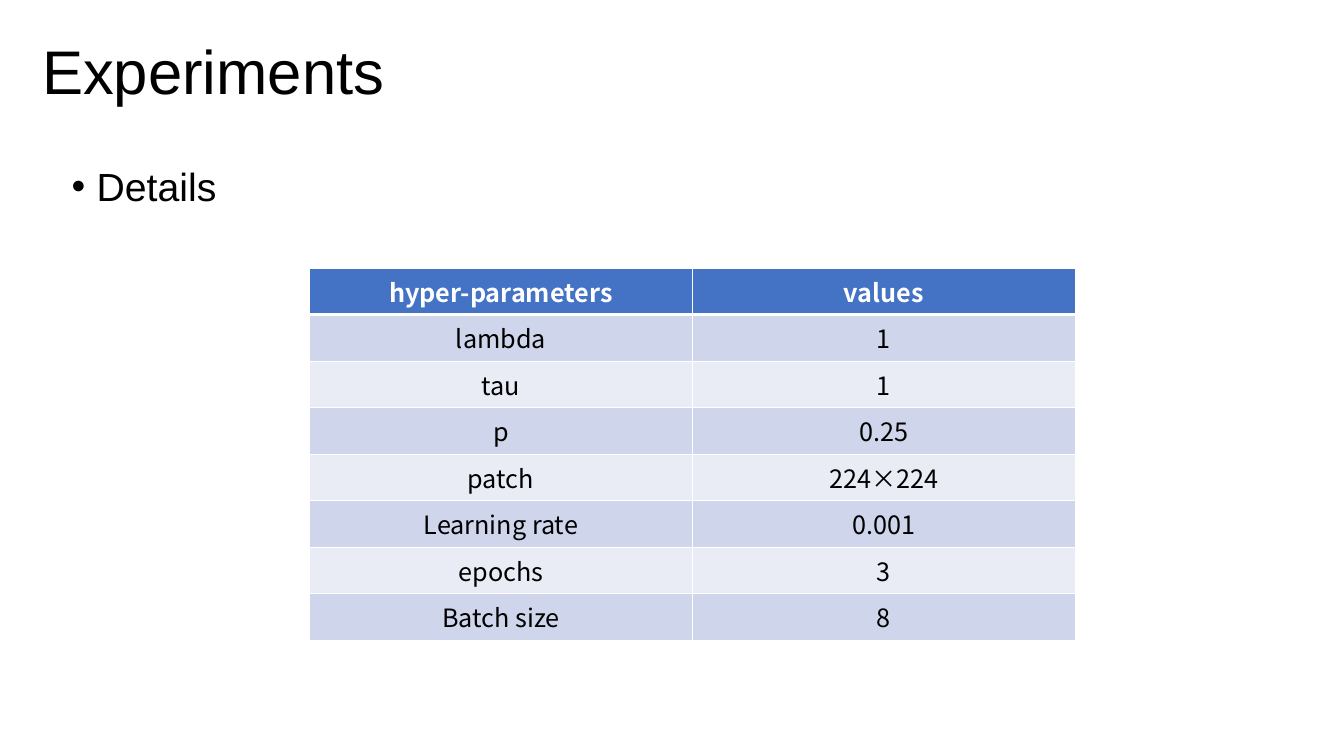
from dataclasses import dataclass

from lxml import etree
from pptx import Presentation
from pptx import util as u
from pptx.dml.color import RGBColor
from pptx.enum import text
from pptx.oxml import ns

BLACK = RGBColor(0x00, 0x00, 0x00)
WHITE = RGBColor(0xFF, 0xFF, 0xFF)
HEADER_BLUE = RGBColor(0x44, 0x72, 0xC4)
BAND_DARK = RGBColor(0xCF, 0xD5, 0xEA)
BAND_LIGHT = RGBColor(0xE9, 0xEB, 0xF5)

HEADING_FONT = "Arial"
TABLE_FONT = "Noto Sans CJK SC"

PARAMETERS = [
    ("hyper-parameters", "values"),
    ("lambda", "1"),
    ("tau", "1"),
    ("p", "0.25"),
    ("patch", "224×224"),
    ("Learning rate", "0.001"),
    ("epochs", "3"),
    ("Batch size", "8"),
]
COLUMN_WIDTH = 273.6
ROW_HEIGHT = 33.25


@dataclass
class Heading:
    words: str
    left: float
    top: float
    width: float
    height: float
    size: float
    anchor: text.MSO_ANCHOR
    bullet: bool = False


HEADINGS = [
    Heading("Experiments", 23, 0.7, 805, 105, 44, text.MSO_ANCHOR.MIDDLE),
    Heading("Details", 44, 116, 862, 418, 28, text.MSO_ANCHOR.TOP, bullet=True),
]


def add_bullet(para) -> None:
    properties = para._p.get_or_add_pPr()
    properties.set("marL", str(u.Pt(18)))
    properties.set("indent", str(-u.Pt(18)))
    etree.SubElement(properties, ns.qn("a:buFont"), typeface=HEADING_FONT)
    etree.SubElement(properties, ns.qn("a:buChar"), char="•")


def add_heading(page, heading: Heading) -> None:
    box = page.shapes.add_textbox(u.Pt(heading.left), u.Pt(heading.top),
                                  u.Pt(heading.width), u.Pt(heading.height))
    frame = box.text_frame
    frame.word_wrap = True
    frame.vertical_anchor = heading.anchor
    frame.text = heading.words
    para = frame.paragraphs[0]
    if heading.bullet:
        add_bullet(para)
    para.line_spacing = 0.9
    font = para.runs[0].font
    font.name = HEADING_FONT
    font.size = u.Pt(heading.size)
    font.color.rgb = BLACK


def add_borders(cell, bottom_width: float) -> None:
    properties = cell._tc.get_or_add_tcPr()
    widths = {"a:lnL": 1, "a:lnR": 1, "a:lnT": 1, "a:lnB": bottom_width}
    for position, (side, width) in enumerate(widths.items()):
        line = etree.Element(ns.qn(side), w=str(u.Pt(width)))
        fill = etree.SubElement(line, ns.qn("a:solidFill"))
        etree.SubElement(fill, ns.qn("a:srgbClr"), val=str(WHITE))
        properties.insert(position, line)


def fill_cell(cell, words: str, row: int) -> None:
    is_header = row == 0
    cell.fill.solid()
    if is_header:
        cell.fill.fore_color.rgb = HEADER_BLUE
    else:
        cell.fill.fore_color.rgb = BAND_DARK if row % 2 else BAND_LIGHT
    add_borders(cell, 3 if is_header else 1)

    cell.text_frame.text = words
    para = cell.text_frame.paragraphs[0]
    para.alignment = text.PP_ALIGN.CENTER
    span = para.runs[0]
    span.font.name = TABLE_FONT
    span.font.size = u.Pt(18)
    span.font.bold = is_header
    span.font.color.rgb = WHITE if is_header else BLACK
    # East Asian typeface, used for the multiplication sign
    etree.SubElement(span._r.get_or_add_rPr(), ns.qn("a:ea"), typeface=TABLE_FONT)


def add_parameter_table(page) -> None:
    rows, columns = len(PARAMETERS), len(PARAMETERS[0])
    table = page.shapes.add_table(
        rows, columns, u.Pt(221), u.Pt(191.5),
        u.Pt(columns * COLUMN_WIDTH), u.Pt(rows * ROW_HEIGHT)).table
    for column in table.columns:
        column.width = u.Pt(COLUMN_WIDTH)
    for row, entries in enumerate(PARAMETERS):
        table.rows[row].height = u.Pt(ROW_HEIGHT)
        for column, words in enumerate(entries):
            fill_cell(table.cell(row, column), words, row)


def main() -> None:
    deck = Presentation()
    deck.slide_width, deck.slide_height = u.Pt(960), u.Pt(540)
    page = deck.slides.add_slide(deck.slide_layouts[6])

    # Title and bullet
    for heading in HEADINGS:
        add_heading(page, heading)

    # Hyper-parameter table
    add_parameter_table(page)

    deck.save("out.pptx")


if __name__ == "__main__":
    main()
